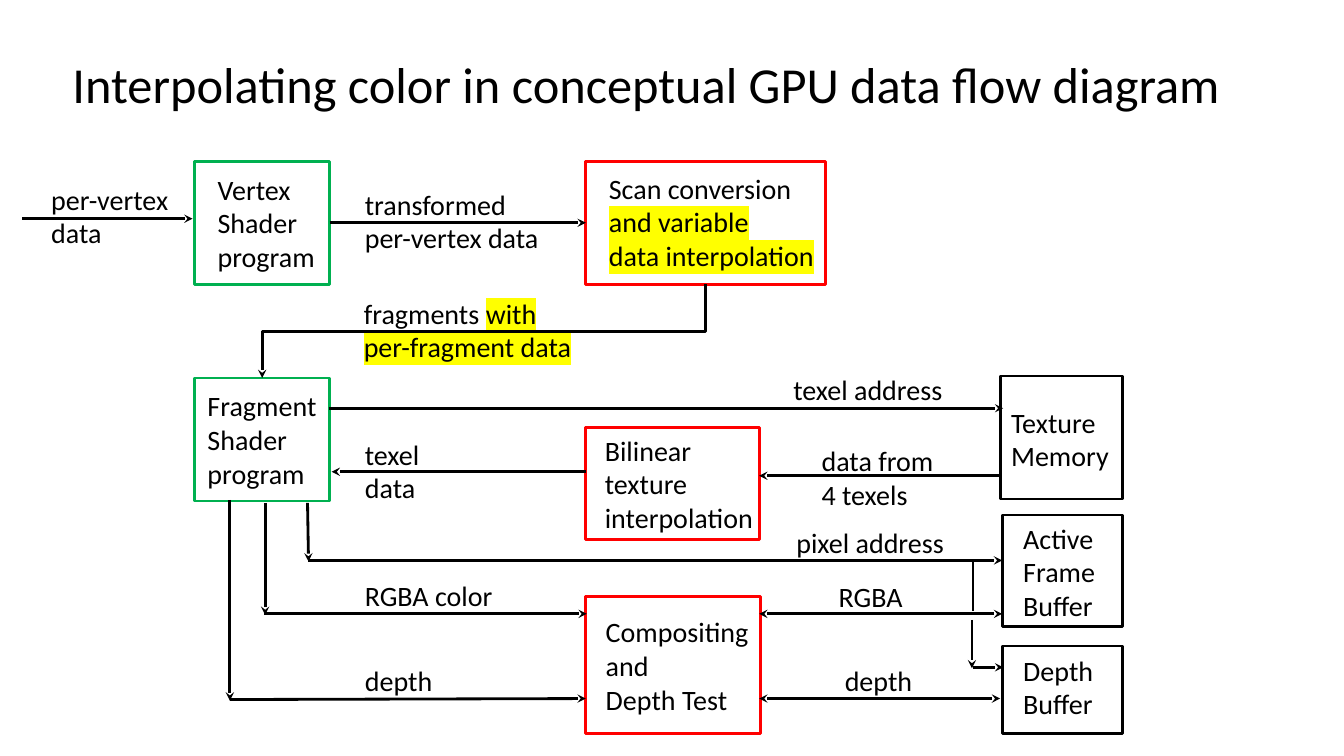
from lxml import etree
from pptx import Presentation
from pptx.dml.color import RGBColor
from pptx.enum.shapes import MSO_CONNECTOR as Link, MSO_SHAPE as Preset
from pptx.enum.text import MSO_AUTO_SIZE as AutoSize
from pptx.oxml.ns import qn
from pptx.util import Inches, Pt

BLACK = RGBColor(0x00, 0x00, 0x00)
GREEN = RGBColor(0x00, 0xB0, 0x50)
RED = RGBColor(0xFF, 0x00, 0x00)
YELLOW = RGBColor(0xFF, 0xFF, 0x00)
FONT = "Calibri"
LINE_WIDTH = Pt(2)
LABEL_SIZE, TITLE_SIZE = 20, 36

# Title: text, left, top, width
TITLE = ("Interpolating color in conceptual GPU data flow diagram", 0.62, 0.48, 11.76)

# Stage and memory boxes: left, top, width, height, outline
BOXES = [
    (1.93, 1.6, 1.34, 1.22, GREEN),
    (5.81, 1.6, 2.38, 1.22, RED),
    (1.93, 3.75, 1.34, 1.22, GREEN),
    (5.81, 4.24, 1.72, 1.11, RED),
    (5.81, 5.92, 1.73, 1.36, RED),
    (9.92, 3.73, 1.21, 1.22, BLACK),
    (9.94, 5.11, 1.19, 1.11, BLACK),
    (9.94, 6.41, 1.19, 0.87, BLACK),
]

# Labels: lines, left, top, width, wrap; text between == marks is highlighted
LABELS = [
    (["per-vertex", "data"], 0.41, 1.76, 1.38, False),
    (["Vertex", "Shader", "program"], 2.06, 1.66, 1.17, False),
    (["transformed", "per-vertex data"], 3.52, 1.81, 1.96, True),
    (["Scan conversion", "==and variable==", "==data interpolation=="], 5.94, 1.65, 2.29, True),
    (["fragments ==with==", "==per-fragment data=="], 3.51, 2.89, 2.54, True),
    (["Fragment", "Shader", "program"], 1.96, 3.81, 1.36, True),
    (["texel address"], 7.77, 3.65, 1.81, True),
    (["Texture", "Memory"], 9.93, 3.97, 1.36, True),
    (["texel", "data"], 3.52, 4.29, 1.35, True),
    (["Bilinear", "texture", "interpolation"], 5.9, 4.25, 1.81, True),
    (["data from", "4 texels"], 8.05, 4.35, 1.35, True),
    (["pixel address"], 7.8, 5.16, 2.54, True),
    (["Active", "Frame", "Buffer"], 10.05, 5.12, 1.39, True),
    (["RGBA color"], 3.52, 5.69, 1.81, True),
    (["Compositing", "and", "Depth Test"], 5.91, 6.05, 2.07, True),
    (["RGBA"], 8.22, 5.7, 1.81, True),
    (["depth"], 3.52, 6.53, 1.81, True),
    (["depth"], 8.28, 6.53, 1.81, True),
    (["Depth", "Buffer"], 10.05, 6.43, 1.39, True),
]

# Straight flows: from x, from y, to x, to y, ends that carry an arrowhead
END, BOTH, NONE = ("tailEnd",), ("headEnd", "tailEnd"), ()
FLOWS = [
    (0.22, 2.17, 1.91, 2.17, END),
    (3.27, 2.21, 5.81, 2.21, END),
    (3.26, 4.05, 9.95, 4.05, END),
    (9.93, 4.72, 7.53, 4.72, END),
    (5.81, 4.68, 3.29, 4.68, END),
    (3.05, 4.99, 3.06, 5.57, END),
    (3.05, 5.56, 9.94, 5.56, END),
    (2.63, 4.99, 2.63, 6.1, END),
    (2.62, 6.09, 5.82, 6.09, END),
    (2.28, 4.96, 2.28, 6.95, END),
    (2.28, 6.94, 5.81, 6.93, END),
    (7.53, 6.09, 9.94, 6.09, BOTH),
    (7.53, 6.93, 9.92, 6.93, BOTH),
    (9.65, 5.57, 9.65, 6.06, NONE),
    (9.64, 6.15, 9.64, 6.63, END),
    (9.65, 6.62, 9.95, 6.62, END),
]

# Bent flow from scan conversion down to the fragment shader
BENT_FLOW = (7, 2.82, 2.6, 3.75)


def add_box(page, left, top, width, height, outline):
    box = page.shapes.add_shape(
        Preset.RECTANGLE, Inches(left), Inches(top), Inches(width), Inches(height))
    box.shadow.inherit = False
    box.fill.background()
    box.line.color.rgb = outline
    box.line.width = LINE_WIDTH


def highlight(span):
    fill = span.font._element.find(qn("a:solidFill"))
    mark = etree.Element(qn("a:highlight"))
    etree.SubElement(mark, qn("a:srgbClr")).set("val", str(YELLOW))
    fill.addnext(mark)


def add_label(page, lines, left, top, width, wrap, size=LABEL_SIZE):
    height = 0.1 + len(lines) * size * 1.22 / 72
    box = page.shapes.add_textbox(
        Inches(left), Inches(top), Inches(width), Inches(height))
    frame = box.text_frame
    frame.word_wrap = wrap
    frame.auto_size = AutoSize.SHAPE_TO_FIT_TEXT
    for row, line in enumerate(lines):
        para = frame.paragraphs[0] if row == 0 else frame.add_paragraph()
        for index, text in enumerate(line.split("==")):
            if not text:
                continue
            span = para.add_run()
            span.text = text
            span.font.size = Pt(size)
            span.font.name = FONT
            span.font.color.rgb = BLACK
            if index % 2:
                highlight(span)


def add_flow(page, x1, y1, x2, y2, arrows, kind=Link.STRAIGHT):
    flow = page.shapes.add_connector(
        kind, Inches(x1), Inches(y1), Inches(x2), Inches(y2))
    flow.line.color.rgb = BLACK
    flow.line.width = LINE_WIDTH
    properties = flow._element.spPr
    for end in arrows:
        etree.SubElement(properties.find(qn("a:ln")), qn("a:" + end)).set("type", "stealth")
    etree.SubElement(properties, qn("a:effectLst"))
    return flow


def add_bent_flow(page, x1, y1, x2, y2):
    # A quarter turn makes the elbow leave and arrive vertically
    center_x, center_y = (x1 + x2) / 2, (y1 + y2) / 2
    half_width, half_height = (y2 - y1) / 2, (x1 - x2) / 2
    flow = add_flow(page, center_x - half_width, center_y - half_height,
                    center_x + half_width, center_y + half_height, END, Link.ELBOW)
    flow._element.spPr.find(qn("a:xfrm")).set("rot", str(90 * 60000))


def main():
    deck = Presentation()
    deck.slide_width, deck.slide_height = Inches(13.33), Inches(7.5)
    page = deck.slides.add_slide(deck.slide_layouts[6])

    title, left, top, width = TITLE
    add_label(page, [title], left, top, width, False, TITLE_SIZE)
    for box in BOXES:
        add_box(page, *box)
    for label in LABELS:
        add_label(page, *label)
    for flow in FLOWS:
        add_flow(page, *flow)
    add_bent_flow(page, *BENT_FLOW)

    deck.save("out.pptx")


if __name__ == "__main__":
    main()
